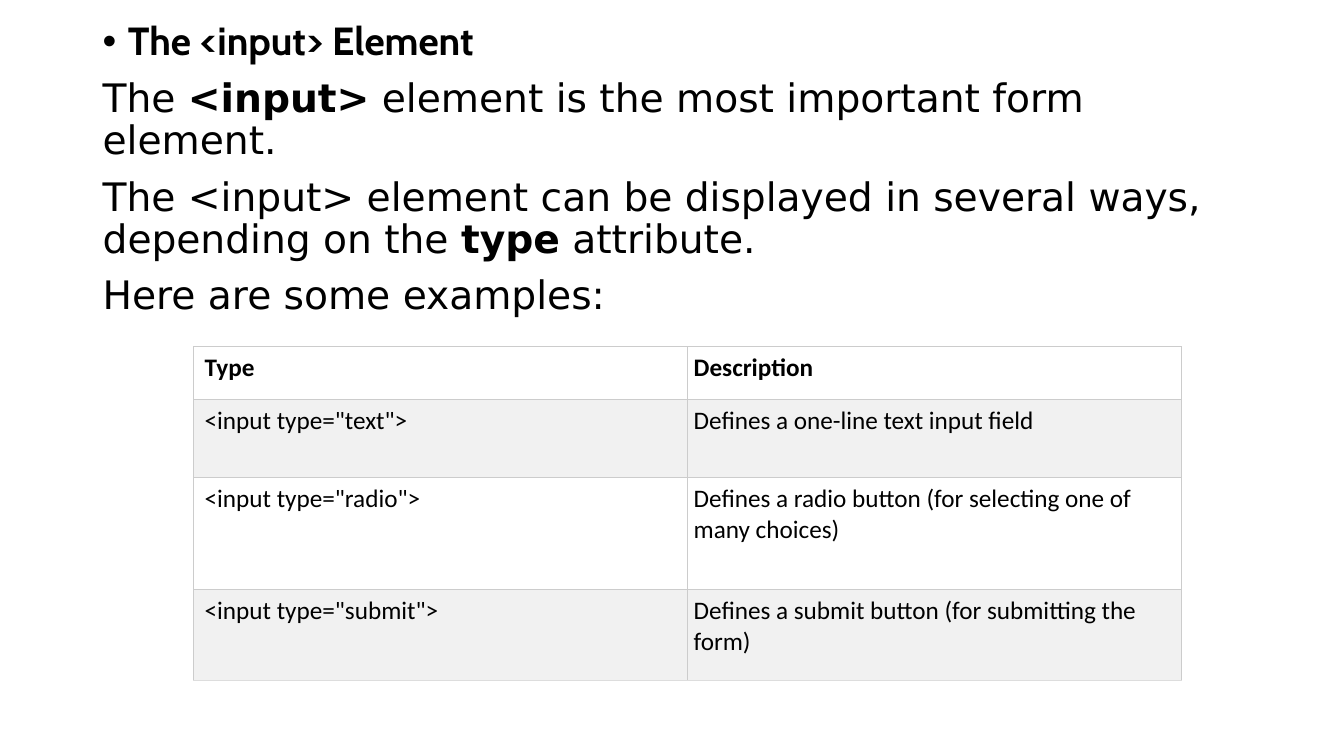
from dataclasses import dataclass

from lxml.etree import SubElement
from pptx import Presentation
from pptx.dml.color import RGBColor as Rgb
from pptx.oxml import parse_xml
from pptx.oxml.ns import nsdecls, qn
from pptx.util import Inches, Pt


@dataclass(frozen=True)
class Theme:
    """Colours, fonts and type sizes of the slide."""
    ink: str = "000000"
    plain: str = "FFFFFF"
    band: str = "F1F1F1"
    rule: str = "CCCCCC"
    base: str = "DDDDDD"
    head: str = "Cabin"
    body: str = "DejaVu Sans"
    cell: str = "Calibri"
    large: int = 28
    small: int = 18
    line: float = 0.5


THEME = Theme()
TITLE = "The <input> Element"
LINES = [
    "The **<input>** element is the most important form element.",
    "The <input> element can be displayed in several ways, "
    "depending on the **type** attribute.",
    "Here are some examples:",
]
ROWS = [
    ("Type", "Description", 0.52),
    ('<input type="text">', "Defines a one-line text input field", 0.78),
    ('<input type="radio">',
     "Defines a radio button (for selecting one of many choices)", 1.11),
    ('<input type="submit">',
     "Defines a submit button (for submitting the form)", 0.9),
]


def style(font, name, size, bold=None):
    """Set the face, size, weight and colour of a font."""
    font.name, font.size, font.bold = name, Pt(size), bold
    font.color.rgb = Rgb.from_string(THEME.ink)


def bullet(para, hang):
    """Give a paragraph a round bullet with a hanging indent."""
    props = para._p.get_or_add_pPr()
    props.set("marL", str(Inches(hang)))
    props.set("indent", str(-Inches(hang)))
    SubElement(props, qn("a:buFont")).set("typeface", "Arial")
    SubElement(props, qn("a:buChar")).set("char", "•")


def prose(slide, left, top, width, height):
    """Place the heading and the body text in the given box."""
    box = slide.shapes.add_textbox(*map(Inches, (left, top, width, height)))
    frame = box.text_frame
    frame.word_wrap = True
    for num, text in enumerate([TITLE, *LINES]):
        para = frame.add_paragraph() if num else frame.paragraphs[0]
        para.line_spacing, para.space_before = 0.9, Pt(10)
        for pos, part in enumerate(text.split("**")):
            run = para.add_run()
            run.text = part
            if pos % 2:
                run.font.bold = True
        if num:
            style(para.font, THEME.body, THEME.large)
        else:
            style(para.font, THEME.head, THEME.large, True)
            bullet(para, 0.25)


def border(cell, base):
    """Draw thin lines on all four sides of a cell."""
    props = cell._tc.get_or_add_tcPr()
    tones = dict.fromkeys("LRT", THEME.rule) | {"B": base}
    for pos, (side, tone) in enumerate(tones.items()):
        props.insert(pos, parse_xml(
            f'<a:ln{side} {nsdecls("a")} w="{Pt(THEME.line)}"><a:solidFill>'
            f'<a:srgbClr val="{tone}"/></a:solidFill></a:ln{side}>'))


def grid(slide, left, top, width):
    """Place the table of input types in the given width."""
    high = sum(row[-1] for row in ROWS)
    size = map(Inches, (left, top, width, high))
    table = slide.shapes.add_table(len(ROWS), 2, *size).table
    for num, (*texts, tall) in enumerate(ROWS):
        table.rows[num].height = Inches(tall)
        fill = THEME.band if num % 2 else THEME.plain
        base = THEME.base if num == len(ROWS) - 1 else THEME.rule
        for col, text in enumerate(texts):
            cell = table.cell(num, col)
            cell.text = text
            cell.margin_left = Inches(0.06 if col else 0.11)
            cell.margin_right = Inches(0.06)
            cell.margin_top = cell.margin_bottom = Inches(0.06)
            cell.fill.solid()
            cell.fill.fore_color.rgb = Rgb.from_string(fill)
            font = cell.text_frame.paragraphs[0].font
            style(font, THEME.cell, THEME.small, num == 0)
            border(cell, base)


def main():
    """Build the slide and save it."""
    deck = Presentation()
    deck.slide_width, deck.slide_height = Inches(13.33), Inches(7.5)
    slide = deck.slides.add_slide(deck.slide_layouts[6])
    prose(slide, 0.92, 0.17, 11.5, 6.59)
    grid(slide, 1.92, 3.44, 9.8)
    deck.save("out.pptx")


if __name__ == "__main__":
    main()
